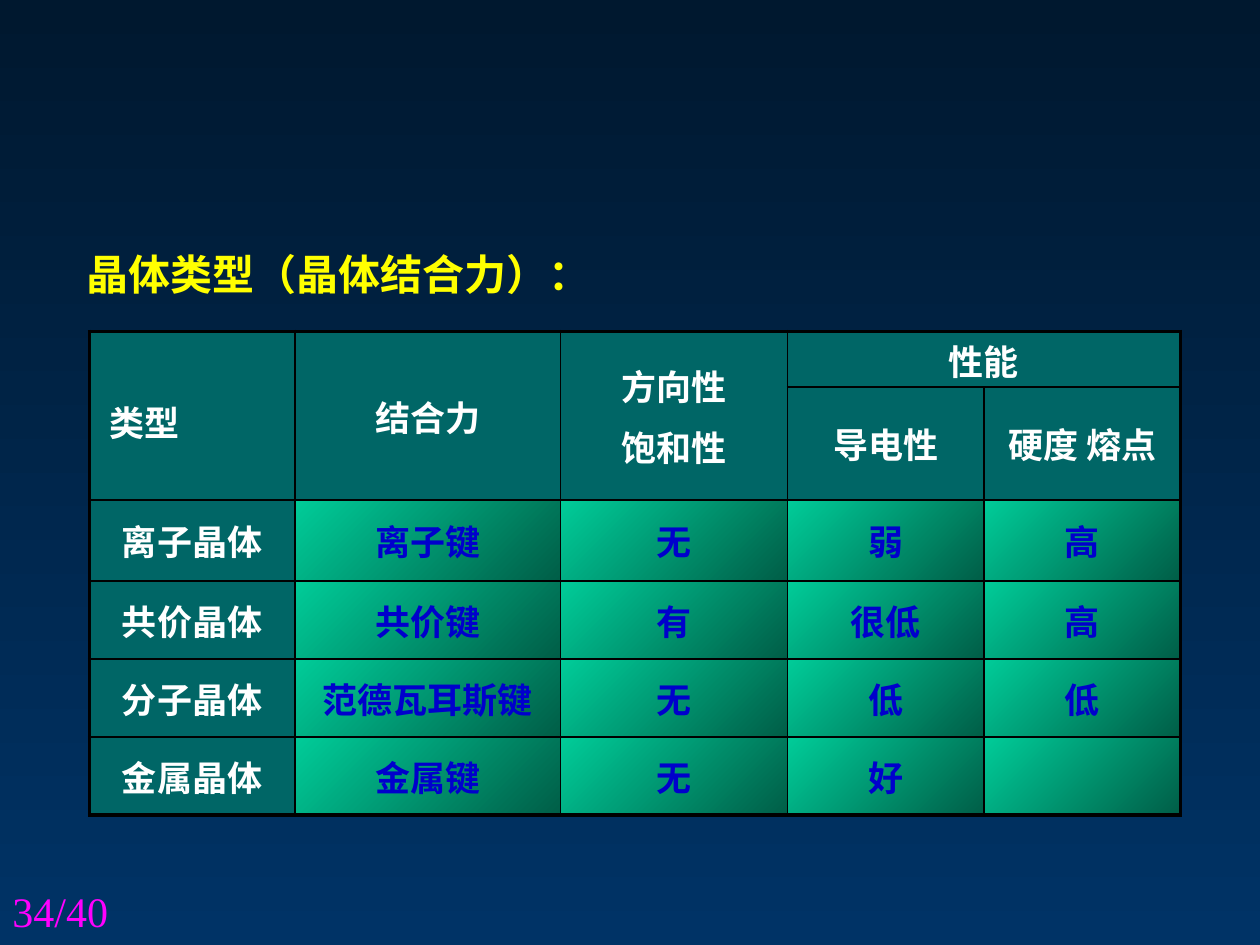
from typing import NamedTuple

import pptx
import pptx.dml.color
import pptx.enum.text
import pptx.oxml
import pptx.oxml.ns
import pptx.util
from pptx.util import Inches

CJK = "Noto Sans CJK SC"
CENTER = pptx.enum.text.PP_ALIGN.CENTER
LEFT = pptx.enum.text.PP_ALIGN.LEFT
MIDDLE = pptx.enum.text.MSO_ANCHOR.MIDDLE
TOP = pptx.enum.text.MSO_ANCHOR.TOP

COL_WIDTHS = [1.63, 2.11, 1.8, 1.56, 1.56]
ROW_HEIGHTS = [0.44, 0.9, 0.64, 0.62, 0.62, 0.62]
# Weights of the grid lines, outer edges included
COL_LINES = [2.25, 1.5, 1, 1, 1, 2.25]
ROW_LINES = [2.25, 1, 1.5, 1, 1, 1, 2.25]

BODY = [
    ["离子晶体", "离子键", "无", "弱", "高"],
    ["共价晶体", "共价键", "有", "很低", "高"],
    ["分子晶体", "范德瓦耳斯键", "无", "低", "低"],
    ["金属晶体", "金属键", "无", "好", ""],
]


class Header(NamedTuple):
    row: int
    col: int
    lines: list[str]
    rows: int = 1
    cols: int = 1
    align: int = CENTER
    anchor: int = MIDDLE
    left: float = 0.1
    top: float = 0.05
    bottom: float = 0.05


HEADERS = [
    Header(0, 0, ["类型"], rows=2, align=LEFT, left=0.16, top=0.09, bottom=0),
    Header(0, 1, ["结合力"], rows=2),
    Header(0, 2, ["方向性", "饱和性"], rows=2, top=0, bottom=0),
    Header(0, 3, ["性能"], cols=2, anchor=TOP, top=0.03, bottom=0),
    Header(1, 3, ["导电性"]),
    Header(1, 4, ["硬度 熔点"]),
]


class Label(NamedTuple):
    text: str
    box: tuple[float, float, float, float]
    font: str
    color: str
    bold: bool


LABELS = [
    Label("晶体类型（晶体结合力）：", (0.59, 1.92, 4.72, 0.5), CJK, "FFFF00", True),
    Label("34/40", (0, 6.98, 2.33, 0.52), "Times New Roman", "FF00FF", False),
]


def rgb(value: str) -> pptx.dml.color.RGBColor:
    return pptx.dml.color.RGBColor.from_string(value)


def add_text(p, text: str, font: str, size: float, color: str, bold: bool) -> None:
    r = p.add_run()
    r.text = text
    formats = {"name": font, "size": pptx.util.Pt(size), "bold": bold}
    for name, value in formats.items():
        setattr(r.font, name, value)
    r.font.color.rgb = rgb(color)
    ea = pptx.oxml.parse_xml(
        f'<a:ea {pptx.oxml.ns.nsdecls("a")} typeface="{font}"/>')
    r.font._element.find(pptx.oxml.ns.qn("a:latin")).addnext(ea)


def set_gradient(fill, start: str, end: str, angle: float) -> None:
    """Fill with two colours; the angle runs counter-clockwise."""
    fill.gradient()
    fill.gradient_angle = angle
    for stop, position, color in zip(fill.gradient_stops, (0, 1), (start, end)):
        stop.position = position
        stop.color.rgb = rgb(color)


def set_borders(cell, row: int, col: int) -> None:
    weights = {
        "lnL": COL_LINES[col],
        "lnR": COL_LINES[col + max(cell.span_width, 1)],
        "lnT": ROW_LINES[row],
        "lnB": ROW_LINES[row + max(cell.span_height, 1)],
    }
    tc_pr = cell._tc.get_or_add_tcPr()
    for i, (tag, weight) in enumerate(weights.items()):
        tc_pr.insert(i, pptx.oxml.parse_xml(
            f'<a:{tag} {pptx.oxml.ns.nsdecls("a")} w="{pptx.util.Pt(weight)}">'
            '<a:solidFill><a:srgbClr val="000000"/></a:solidFill>'
            f'</a:{tag}>'))


def write_cell(cell, header: Header, color: str) -> None:
    formats = {
        "vertical_anchor": header.anchor,
        "margin_left": Inches(header.left),
        "margin_top": Inches(header.top),
        "margin_bottom": Inches(header.bottom),
    }
    for name, value in formats.items():
        setattr(cell, name, value)
    tf = cell.text_frame
    for i, line in enumerate(header.lines):
        p = tf.add_paragraph() if i else tf.paragraphs[0]
        p.alignment = header.align
        if i:
            p.space_before = pptx.util.Pt(6)
        add_text(p, line, CJK, 20, color, True)


def add_crystal_table(s) -> None:
    frame = s.shapes.add_table(
        len(ROW_HEIGHTS), len(COL_WIDTHS), Inches(0.71), Inches(2.63),
        Inches(sum(COL_WIDTHS)), Inches(sum(ROW_HEIGHTS)))
    table = frame.table
    table.first_row = table.horz_banding = False
    for column, width in zip(table.columns, COL_WIDTHS):
        column.width = Inches(width)
    for row, height in zip(table.rows, ROW_HEIGHTS):
        row.height = Inches(height)

    for h in HEADERS:
        cell = table.cell(h.row, h.col)
        if h.rows > 1 or h.cols > 1:
            cell.merge(table.cell(h.row + h.rows - 1, h.col + h.cols - 1))
        write_cell(cell, h, "FFFFFF")
    for i, texts in enumerate(BODY, start=2):
        for j, text in enumerate(texts):
            if text:
                write_cell(table.cell(i, j), Header(i, j, [text]),
                           "0000CC" if j else "FFFFFF")

    for i in range(len(ROW_HEIGHTS)):
        for j in range(len(COL_WIDTHS)):
            cell = table.cell(i, j)
            if i < 2 or j == 0:
                cell.fill.solid()
                cell.fill.fore_color.rgb = rgb("006666")
            else:
                set_gradient(cell.fill, "00CC99", "005E47", 315)
            set_borders(cell, i, j)


def add_label(s, label: Label) -> None:
    sp = s.shapes.add_textbox(*map(Inches, label.box))
    tf = sp.text_frame
    tf.word_wrap = True
    add_text(tf.paragraphs[0], label.text, label.font, 24, label.color, label.bold)


def main() -> None:
    prs = pptx.Presentation()
    prs.slide_width, prs.slide_height = Inches(10), Inches(7.5)
    s = prs.slides.add_slide(prs.slide_layouts[6])
    set_gradient(s.background.fill, "00182F", "003366", 270)
    add_crystal_table(s)
    for label in LABELS:
        add_label(s, label)
    prs.save("out.pptx")


if __name__ == "__main__":
    main()
